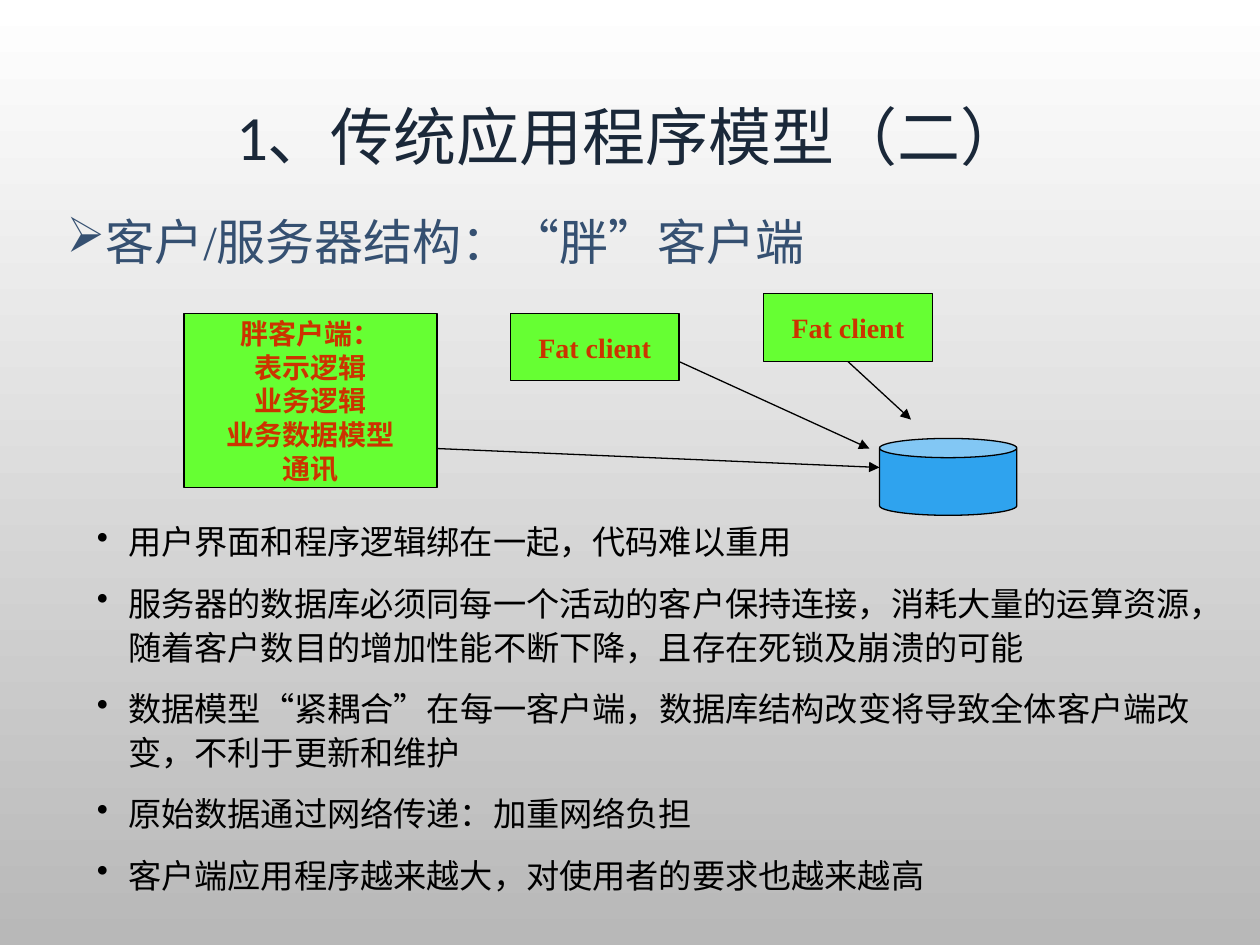
from itertools import groupby

from lxml.etree import SubElement
from pptx import Presentation
from pptx.dml.color import RGBColor
from pptx.enum.shapes import MSO_CONNECTOR, MSO_SHAPE
from pptx.enum.text import MSO_ANCHOR, PP_ALIGN
from pptx.oxml.ns import qn
from pptx.util import Inches, Pt

BLACK = RGBColor(0x00, 0x00, 0x00)
WHITE = RGBColor(0xFF, 0xFF, 0xFF)
GREY = RGBColor(0xB8, 0xB8, 0xB8)
NAVY = RGBColor(0x1A, 0x28, 0x39)
SLATE = RGBColor(0x35, 0x50, 0x71)
GREEN = RGBColor(0x66, 0xFF, 0x33)
RED = RGBColor(0xCC, 0x33, 0x00)
BLUE = RGBColor(0x2F, 0xA3, 0xEE)

deck = Presentation()
deck.slide_width, deck.slide_height = Inches(10), Inches(7.5)
COLUMN = deck.slide_width / 100
ROW = deck.slide_height / 75


def grid(*lengths):
    """Turn alternating columns and rows into slide lengths."""
    return [round(n * (ROW if i % 2 else COLUMN)) for i, n in enumerate(lengths)]


def write(para, text, size, font, color, bullet=None, indent=0):
    """Fill a paragraph; curly quotation marks are set in Arial."""
    properties = para._p.get_or_add_pPr()
    properties.set("marL", str(Inches(indent)))
    properties.set("indent", str(Inches(-indent)))
    if bullet:
        bullet_color = SubElement(properties, qn("a:buClr"))
        SubElement(bullet_color, qn("a:srgbClr"), val=str(color))
        SubElement(properties, qn("a:buChar"), char=bullet)
    para.font.size = Pt(size)
    para.font.name = font
    para.font.color.rgb = color
    for quoted, letters in groupby(text, lambda letter: letter in "“”"):
        span = para.add_run()
        span.text = "".join(letters)
        if quoted:
            span.font.name = "Arial"


page = deck.slides.add_slide(deck.slide_layouts[5])

# Background, white at the top to grey at the bottom
backdrop = page.background.fill
backdrop.gradient()
backdrop.gradient_angle = 270
for stop, color in zip(backdrop.gradient_stops, (WHITE, GREY)):
    stop.color.rgb = color

# Title
title = page.shapes.title
title.left, title.top, title.width, title.height = grid(5, 6.8, 90, 8.7)
title.text_frame.vertical_anchor = MSO_ANCHOR.MIDDLE
para = title.text_frame.paragraphs[0]
para.alignment = PP_ALIGN.CENTER
para.line_spacing = 0.9
write(para, "1、传统应用程序模型（二）", 36, "Calibri", NAVY, indent=0.92)

# Drawbacks
box = page.shapes.add_textbox(*grid(6.7, 40.6, 89.2, 31.5))
box.text_frame.word_wrap = True
drawbacks = [
    "用户界面和程序逻辑绑在一起，代码难以重用",
    "服务器的数据库必须同每一个活动的客户保持连接，消耗大量的运算资源，随着客户数目的增加性能不断下降，且存在死锁及崩溃的可能",
    "数据模型“紧耦合”在每一客户端，数据库结构改变将导致全体客户端改变，不利于更新和维护",
    "原始数据通过网络传递：加重网络负担",
    "客户端应用程序越来越大，对使用者的要求也越来越高",
]
for number, drawback in enumerate(drawbacks):
    para = box.text_frame.add_paragraph() if number else box.text_frame.paragraphs[0]
    para.line_spacing = 1.1
    para.space_before = Pt(10)
    write(para, drawback, 19, "Calibri", BLACK, bullet="•", indent=0.25)

# Subheading
box = page.shapes.add_textbox(*grid(4.3, 16.3, 66.9, 5.7))
box.text_frame.word_wrap = True
write(box.text_frame.paragraphs[0], "客户/服务器结构：“胖”客户端", 28,
      "Times New Roman", SLATE, bullet="➢")

# Database and clients
can, rectangle = MSO_SHAPE.CAN, MSO_SHAPE.RECTANGLE
nodes = [
    (can, (69.8, 34.8, 10.9, 6.1), BLUE, []),
    (rectangle, (14.6, 24.9, 20.1, 13.8), GREEN,
     ["胖客户端：", "表示逻辑", "业务逻辑", "业务数据模型", "通讯"]),
    (rectangle, (40.5, 24.9, 13.4, 5.3), GREEN, ["Fat client"]),
    (rectangle, (60.6, 23.3, 13.4, 5.4), GREEN, ["Fat client"]),
]
for kind, place, color, lines in nodes:
    node = page.shapes.add_shape(kind, *grid(*place))
    node.shadow.inherit = False
    node.fill.solid()
    node.fill.fore_color.rgb = color
    node.line.color.rgb = BLACK
    node.line.width = Pt(0.75)
    frame = node.text_frame
    frame.word_wrap = False
    frame.vertical_anchor = MSO_ANCHOR.MIDDLE
    for number, line in enumerate(lines):
        para = frame.add_paragraph() if number else frame.paragraphs[0]
        para.alignment = PP_ALIGN.CENTER
        para.font.bold = True
        write(para, line, 16, "Times New Roman", RED)
last_client = node

# Arrows from the clients to the database
arrows = [
    (34.7, 35.6, 69.8, 37.1),
    (53.9, 28.7, 69, 35.6),
    (67.3, 28.7, 72.3, 33.3),
]
for ends in arrows:
    arrow = page.shapes.add_connector(MSO_CONNECTOR.STRAIGHT, *grid(*ends))
    arrow.line.color.rgb = BLACK
    arrow.line.width = Pt(0.75)
    SubElement(arrow.line._get_or_add_ln(), qn("a:tailEnd"), type="triangle")
    SubElement(arrow._element.spPr, qn("a:effectLst"))
arrow.begin_connect(last_client, 2)

deck.save("out.pptx")
